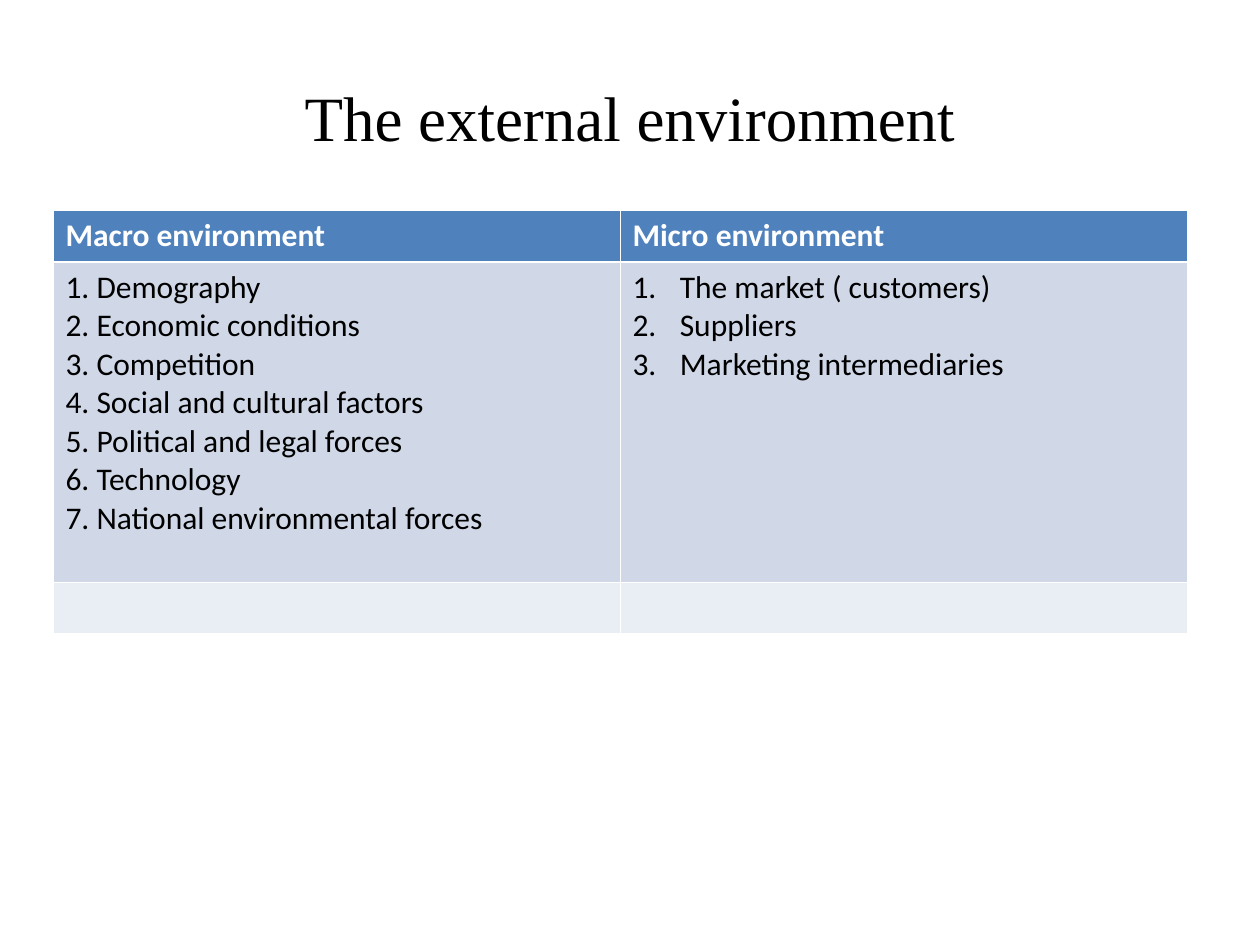
from lxml import etree
from pptx import Presentation
from pptx.dml.color import RGBColor
from pptx.enum import text
from pptx.oxml import ns
from pptx.util import Pt

TITLE = "The external environment"
HEADERS = ["Macro environment", "Micro environment"]
MACRO_FACTORS = [
    "1. Demography",
    "2. Economic conditions",
    "3. Competition",
    "4. Social and cultural factors",
    "5. Political and legal forces",
    "6. Technology",
    "7. National environmental forces",
]
MICRO_FACTORS = ["The market ( customers)", "Suppliers", "Marketing intermediaries"]

BLACK = RGBColor(0x00, 0x00, 0x00)
WHITE = RGBColor(0xFF, 0xFF, 0xFF)
HEADER_BLUE = RGBColor(0x4F, 0x81, 0xBD)
BODY_BLUE = RGBColor(0xD0, 0xD8, 0xE8)
PALE_BLUE = RGBColor(0xE9, 0xED, 0xF4)

ROWS = [
    (29.5, HEADER_BLUE, WHITE, [[header] for header in HEADERS]),
    (183, BODY_BLUE, BLACK, [MACRO_FACTORS, MICRO_FACTORS]),
    (29.5, PALE_BLUE, BLACK, [[], []]),
]
COLUMN_WIDTH = 324
THIN, THICK = 0.45, 1.47
NUMBER_INDENT = 27


def format_run(run, font_name, size, color, bold=False):
    run.font.name = font_name
    run.font.size = Pt(size)
    run.font.color.rgb = color
    run.font.bold = bold


def add_borders(cell, widths):
    properties = cell._tc.get_or_add_tcPr()
    for side, width in zip("LRTB", widths):
        line = etree.SubElement(properties, ns.qn(f"a:ln{side}"), w=str(Pt(width)))
        fill = etree.SubElement(line, ns.qn("a:solidFill"))
        etree.SubElement(fill, ns.qn("a:srgbClr"), val=str(WHITE))


def number_paragraph(paragraph):
    properties = paragraph._p.get_or_add_pPr()
    properties.set("marL", str(Pt(NUMBER_INDENT)))
    properties.set("indent", str(-Pt(NUMBER_INDENT)))
    etree.SubElement(properties, ns.qn("a:buFont"), typeface="+mj-lt")
    etree.SubElement(properties, ns.qn("a:buAutoNum"), type="arabicPeriod")


def add_title(slide):
    title = slide.shapes.add_textbox(Pt(36), Pt(21.6), Pt(648), Pt(90))
    frame = title.text_frame
    frame.word_wrap = True
    frame.vertical_anchor = text.MSO_ANCHOR.MIDDLE
    frame.text = TITLE
    paragraph = frame.paragraphs[0]
    paragraph.alignment = text.PP_ALIGN.CENTER
    format_run(paragraph.runs[0], "Times New Roman", 36, BLACK)


def add_environment_table(slide):
    height = sum(row[0] for row in ROWS)
    width = COLUMN_WIDTH * len(HEADERS)
    table = slide.shapes.add_table(
        len(ROWS), len(HEADERS), Pt(30.25), Pt(120.25), Pt(width), Pt(height)
    ).table
    for column in table.columns:
        column.width = Pt(COLUMN_WIDTH)
    for index, (row_height, fill_color, font_color, contents) in enumerate(ROWS):
        table.rows[index].height = Pt(row_height)
        top = THICK if index == 1 else THIN
        bottom = THICK if index == 0 else THIN
        for cell, lines in zip(table.rows[index].cells, contents):
            add_borders(cell, (THIN, THIN, top, bottom))
            cell.fill.solid()
            cell.fill.fore_color.rgb = fill_color
            cell.text_frame.text = "\n".join(lines)
            for paragraph in cell.text_frame.paragraphs:
                if lines is MICRO_FACTORS:
                    number_paragraph(paragraph)
                for run in paragraph.runs:
                    format_run(run, "Calibri", 18, font_color, index == 0)


def main():
    presentation = Presentation()
    presentation.slide_width, presentation.slide_height = Pt(720), Pt(540)
    slide = presentation.slides.add_slide(presentation.slide_layouts[6])
    add_title(slide)
    add_environment_table(slide)
    presentation.save("out.pptx")


if __name__ == "__main__":
    main()
